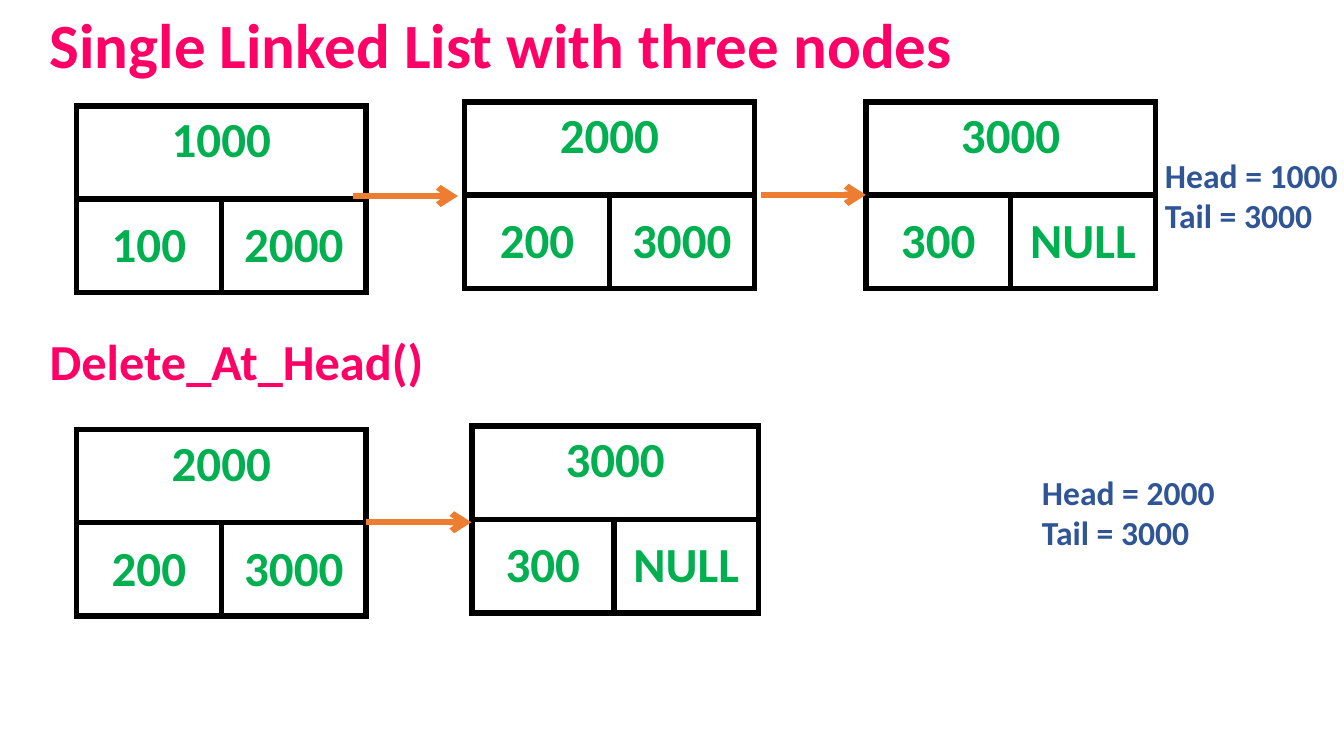
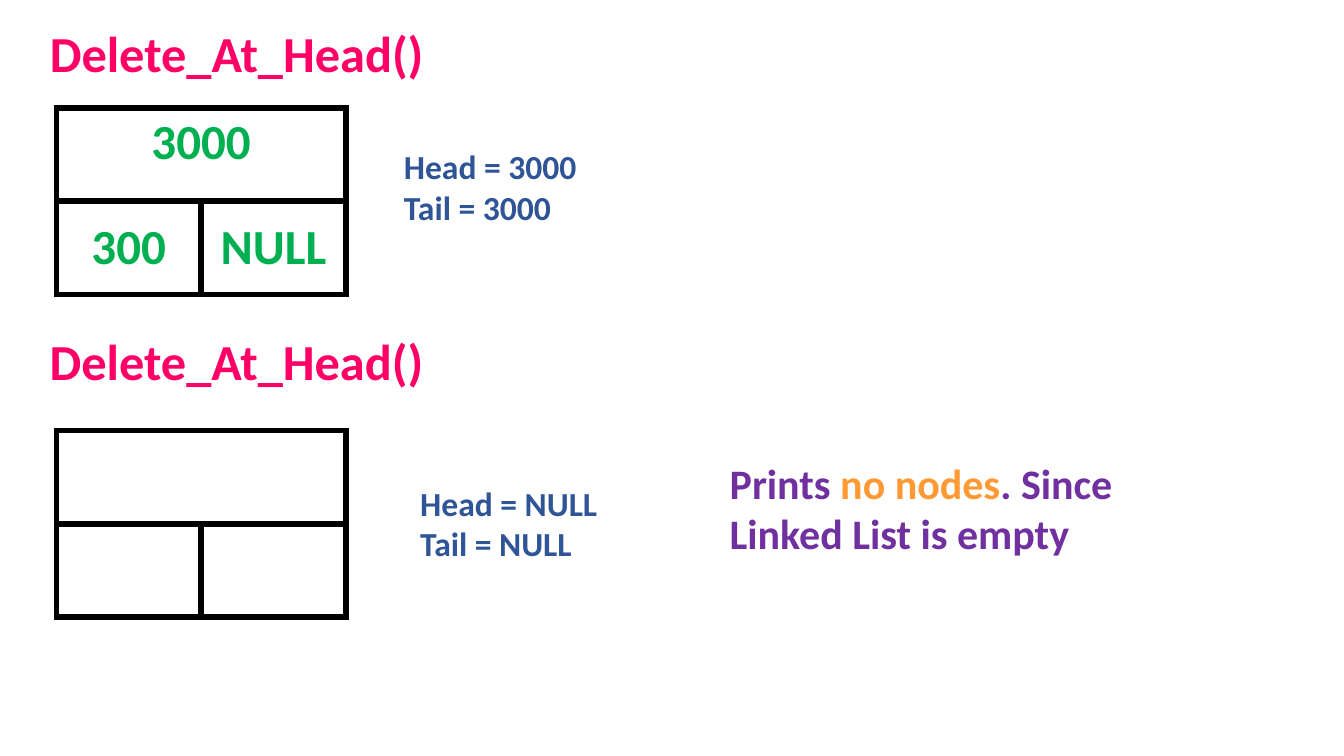
from lxml.etree import SubElement
from pptx import Presentation
from pptx.dml.color import RGBColor
from pptx.enum.shapes import MSO_CONNECTOR as Connector
from pptx.enum.text import MSO_ANCHOR as Anchor, MSO_AUTO_SIZE as AutoSize, PP_ALIGN as Align
from pptx.oxml import parse_xml
from pptx.oxml.ns import nsdecls, qn
from pptx.util import Cm, Pt

COLOURS = {
    "heading": "FF0066",
    "value": "00B050",
    "pointer": "2F5597",
    "arrow": "ED7D31",
    "message": "7030A0",
    "emphasis": "FF9933",
    "border": "000000",
    "cell": "FFFFFF",
}
FONT = "Calibri"
LINE_WIDTH = Pt(4.5)
HEADING_LEFT = 1
CELL_WIDTH, CELL_HEIGHT = 3.65, 2.35
ARROW_LENGTH = 2.65


def colour(name):
    return RGBColor.from_string(COLOURS[name])


def add_run(paragraph, text, size, colour_name):
    run = paragraph.add_run()
    run.text = text
    run.font.name = FONT
    run.font.size = Pt(size)
    run.font.bold = True
    run.font.color.rgb = colour(colour_name)


def place(shape, left, top, width, height):
    shape.left, shape.top = Cm(left), Cm(top)
    shape.width, shape.height = Cm(width), Cm(height)


def add_title_slide(presentation, title, top, width, height, size):
    """Add a title-only slide with a left-aligned heading."""
    slide = presentation.slides.add_slide(presentation.slide_layouts[5])
    shape = slide.shapes.title
    place(shape, HEADING_LEFT, top, width, height)
    frame = shape.text_frame
    frame.auto_size = AutoSize.NONE
    frame.vertical_anchor = Anchor.TOP
    paragraph = frame.paragraphs[0]
    paragraph.alignment = Align.LEFT
    add_run(paragraph, title, size, "heading")
    return slide


def add_text(slide, left, top, width, height, size, lines):
    """Add a text box; each line is a list of (text, colour name) runs."""
    box = slide.shapes.add_textbox(Cm(left), Cm(top), Cm(width), Cm(height))
    frame = box.text_frame
    frame.word_wrap = True
    for index, runs in enumerate(lines):
        paragraph = frame.add_paragraph() if index else frame.paragraphs[0]
        for text, colour_name in runs:
            add_run(paragraph, text, size, colour_name)


def add_operation(slide, text):
    add_text(slide, HEADING_LEFT, 8.2, 22.76, 1.8, 36, [[(text, "heading")]])


def add_pointers(slide, left, top, head, tail):
    lines = [[(f"Head = {head}", "pointer")], [(f"Tail = {tail}", "pointer")]]
    add_text(slide, left, top, 5.84, 2.31, 24, lines)


def format_cell(cell, text, anchor):
    cell.fill.solid()
    cell.fill.fore_color.rgb = colour("cell")
    cell.vertical_anchor = anchor
    # Borders come before the fill in the cell properties
    properties = cell._tc.get_or_add_tcPr()
    for index, side in enumerate(("lnL", "lnR", "lnT", "lnB")):
        properties.insert(index, parse_xml(
            f'<a:{side} {nsdecls("a")} w="{LINE_WIDTH}"><a:solidFill>'
            f'<a:srgbClr val="{COLOURS["border"]}"/></a:solidFill></a:{side}>'))
    if text:
        paragraph = cell.text_frame.paragraphs[0]
        paragraph.alignment = Align.CENTER
        add_run(paragraph, text, 35, "value")


def add_node(slide, left, top, address="", data="", link="", data_width=CELL_WIDTH):
    """Add a list node: its address above its data and its link."""
    widths = (data_width, CELL_WIDTH)
    frame = slide.shapes.add_table(
        2, 2, Cm(left), Cm(top), Cm(sum(widths)), Cm(2 * CELL_HEIGHT))
    table = frame.table
    table.first_row = table.horz_banding = False
    for column, width in zip(table.columns, widths):
        column.width = Cm(width)
    rows = (((address, ""), Anchor.TOP), ((data, link), Anchor.MIDDLE))
    for row, (texts, anchor) in enumerate(rows):
        table.rows[row].height = Cm(CELL_HEIGHT)
        for column, text in enumerate(texts):
            format_cell(table.cell(row, column), text, anchor)
    table.cell(0, 0).merge(table.cell(0, 1))


def add_arrow(slide, left, top):
    arrow = slide.shapes.add_connector(
        Connector.STRAIGHT, Cm(left), Cm(top), Cm(left + ARROW_LENGTH), Cm(top))
    arrow.line.color.rgb = colour("arrow")
    arrow.line.width = LINE_WIDTH
    SubElement(arrow.line._get_or_add_ln(), qn("a:tailEnd"), type="arrow")
    SubElement(arrow._element.spPr, qn("a:effectLst"))


def build_three_nodes(presentation):
    slide = add_title_slide(
        presentation, "Single Linked List with three nodes", 0, 25.02, 2.18, 45)
    # Full list
    add_node(slide, 1.93, 2.67, "1000", "100", "2000")
    add_node(slide, 11.71, 2.57, "2000", "200", "3000")
    add_node(slide, 21.82, 2.57, "3000", "300", "NULL")
    add_arrow(slide, 8.89, 4.94)
    add_arrow(slide, 19.17, 4.91)
    add_pointers(slide, 29.11, 3.78, "1000", "3000")
    # After the first deletion
    add_operation(slide, "Delete_At_Head()")
    add_node(slide, 1.93, 10.82, "2000", "200", "3000")
    add_node(slide, 11.89, 10.74, "3000", "300", "NULL", data_width=3.58)
    add_arrow(slide, 9.23, 13.16)
    add_pointers(slide, 26.01, 11.76, "2000", "3000")


def build_empty_list(presentation):
    slide = add_title_slide(
        presentation, "Delete_At_Head()", 0.43, 16.94, 1.8, 36)
    # One node left
    add_node(slide, 1.42, 2.72, "3000", "300", "NULL")
    add_pointers(slide, 9.93, 3.56, "3000", "3000")
    # Empty list
    add_operation(slide, "Delete_At_Head()")
    add_node(slide, 1.42, 10.85)
    add_pointers(slide, 10.34, 12.04, "NULL", "NULL")
    add_text(slide, 18.14, 11.4, 11.23, 2.82, 30, [[
        ("Prints ", "message"),
        ("no nodes", "emphasis"),
        (". Since Linked List is empty", "message"),
    ]])


def main():
    presentation = Presentation()
    presentation.slide_width = Cm(33.87)
    presentation.slide_height = Cm(19.05)
    build_three_nodes(presentation)
    build_empty_list(presentation)
    presentation.save("out.pptx")


if __name__ == "__main__":
    main()
